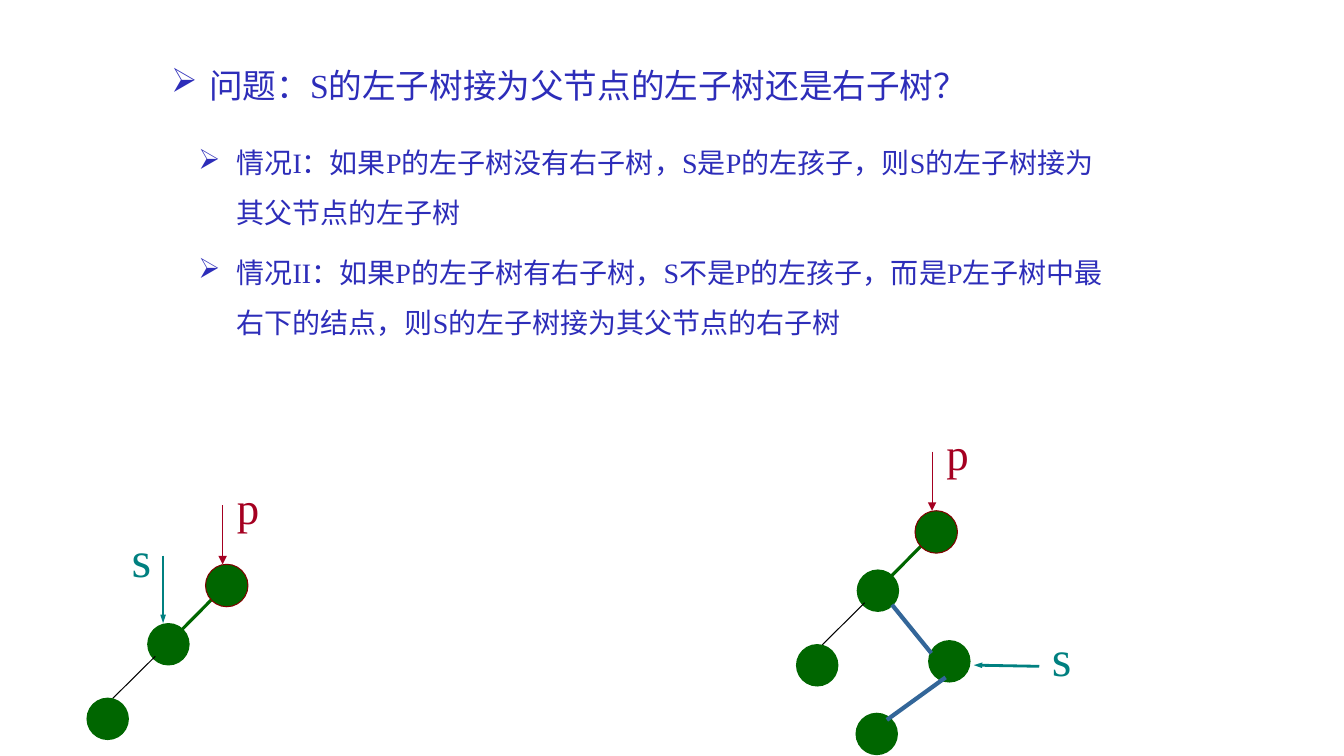
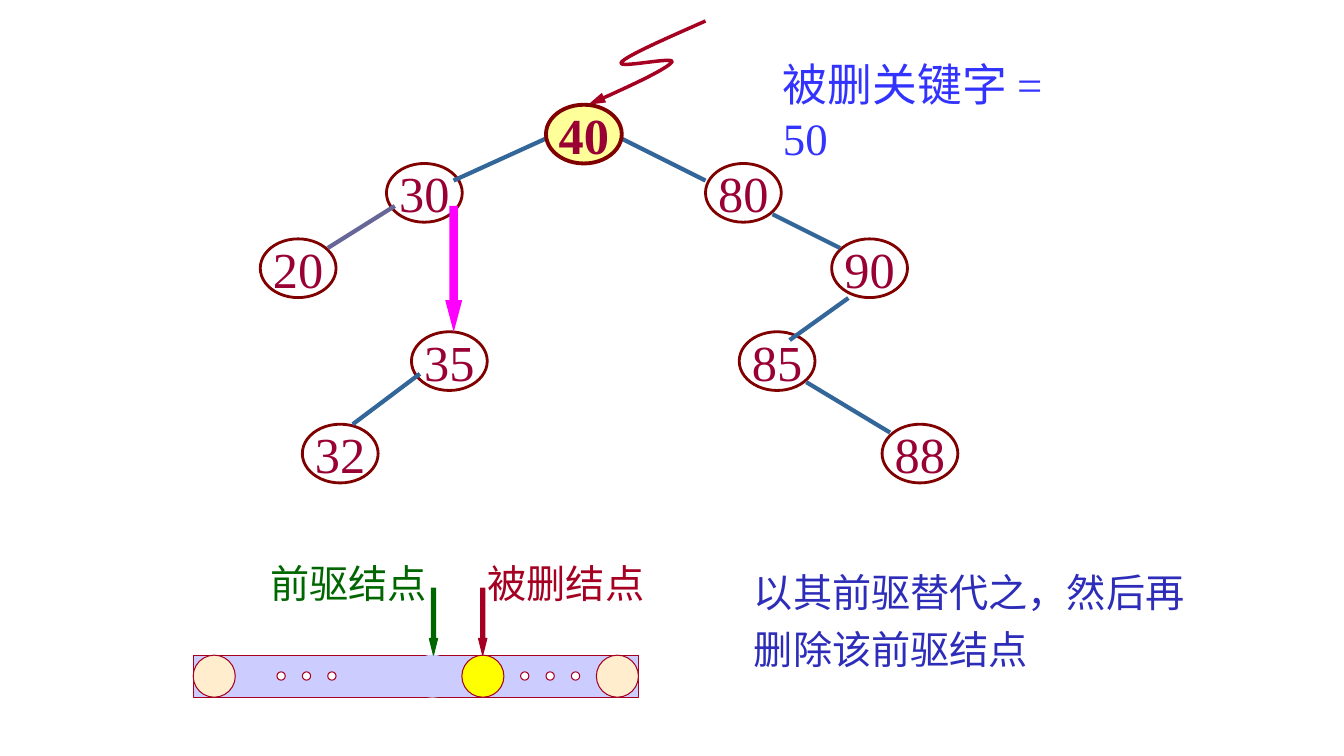
from dataclasses import dataclass
from typing import Optional

from lxml import etree
from pptx import Presentation
from pptx.dml.color import RGBColor
from pptx.enum.shapes import MSO_CONNECTOR, MSO_SHAPE
from pptx.enum.text import MSO_ANCHOR, MSO_AUTO_SIZE, PP_ALIGN
from pptx.oxml.ns import qn
from pptx.util import Cm, Pt

OVAL, RECT, DOWN_ARROW = MSO_SHAPE.OVAL, MSO_SHAPE.RECTANGLE, MSO_SHAPE.DOWN_ARROW
STRAIGHT = MSO_CONNECTOR.STRAIGHT
TOP, MIDDLE = MSO_ANCHOR.TOP, MSO_ANCHOR.MIDDLE
LEFT, CENTER = PP_ALIGN.LEFT, PP_ALIGN.CENTER
FIXED, GROW = MSO_AUTO_SIZE.NONE, MSO_AUTO_SIZE.SHAPE_TO_FIT_TEXT
TITLE_ONLY, BLANK = 5, 6

FONT = "Times New Roman"
COLORS = {
    "text": "2D2DB9", "key": "3333FF", "red": "A50021", "maroon": "800000",
    "number": "990033", "green": "006600", "teal": "008080", "edge": "336699",
    "violet": "666699", "black": "000000", "white": "FFFFFF", "root": "FFFF99",
    "band": "CCCCFF", "cream": "FFEDCD", "yellow": "FFFF00", "magenta": "FF00FF",
}
Point = tuple[float, float]


@dataclass(frozen=True)
class Box:
    left: float
    top: float
    width: float
    height: float


@dataclass(frozen=True)
class Edge:
    start: Point
    end: Point
    color: str = "edge"
    weight: float = 3
    head: Optional[tuple[str, str]] = None


@dataclass(frozen=True)
class Label:
    text: str
    box: Box
    size: float
    color: str
    wrap: bool = False
    spacing: float = 1.0


@dataclass(frozen=True)
class Key:
    text: str
    left: float
    top: float


NODE = 1.07
LEFT_TREE, RIGHT_TREE = (2.18, 11.96), (20.06, 10.61)
RIGHT_CHILDREN = [(23.39, 16.13), (21.56, 17.96)]
RIGHT_EDGES = [
    Edge((22.48, 15.24), (23.47, 16.46)),
    Edge((23.83, 17.07), (22.35, 18.14)),
]
S_ARROWS = [
    Edge((4.11, 14), (4.11, 15.7), "teal", 2, ("sm", "med")),
    Edge((26.19, 16.79), (24.54, 16.76), "teal", 2, ("sm", "med")),
]
S_LABELS = [
    Label("s", Box(left, top, 1.02, 1.78), 36, "teal")
    for left, top in ((3.07, 13.16), (26.26, 15.65))
]
QUESTION = Label("问题：S的左子树接为父节点的左子树还是右子树？",
                 Box(4.06, 0.99, 23.5, 1.63), 24, "text", True, 1.5)
CASES = [
    Label("情况I：如果P的左子树没有右子树，S是P的左孩子，则S的左子树接为其父节点的左子树",
          Box(4.75, 3.12, 23.5, 2.67), 20, "text", True, 1.5),
    Label("情况II：如果P的左子树有右子树，S不是P的左孩子，而是P左子树中最右下的结点，"
          "则S的左子树接为其父节点的右子树",
          Box(4.75, 5.89, 23.5, 2.67), 20, "text", True, 1.5),
]

KEY_WIDTH, KEY_HEIGHT = 1.91, 1.48
ROOT = Key("40", 13.76, 2.64)
KEYS = [
    Key("30", 9.74, 4.12), Key("80", 17.78, 4.12),
    Key("20", 6.56, 6.02), Key("90", 20.96, 6.02),
    Key("85", 18.63, 8.36), Key("35", 10.37, 8.36),
    Key("88", 22.23, 10.69), Key("32", 7.62, 10.69),
]
KEY_EDGES = [
    Edge((13.76, 3.49), (11.43, 4.55)),
    Edge((9.95, 5.19), (8.26, 6.25), "violet"),
    Edge((15.66, 3.49), (17.78, 4.55)),
    Edge((19.47, 5.4), (21.17, 6.25)),
    Edge((21.38, 7.51), (19.9, 8.57)),
    Edge((20.32, 9.63), (22.43, 10.9)),
    Edge((10.58, 9.42), (8.89, 10.69)),
]
CURVES = [
    [(17.78, 0.53), (16.79, 0.97), (15.8, 1.4), (15.66, 1.57)],
    [(15.66, 1.57), (15.52, 1.75), (17.07, 1.4), (16.93, 1.57)],
    [(16.93, 1.57), (16.79, 1.75), (15.8, 2.21), (14.82, 2.64)],
]
BAND = Box(4.87, 16.51, 11.22, 1.06)
BAND_CIRCLES = [
    (4.87, "cream", "red"), (15.03, "cream", "red"),
    (11.64, "yellow", "red"), (10.37, "band", "band"),
]
DOT, DOT_STEP, DOT_TOP = 0.21, 0.64, 16.93
BAND_ARROWS = [(12.06, "red"), (10.82, "green")]
NOTES = [
    Label("以其前驱替代之，然后再删除该前驱结点",
          Box(18.75, 13.97, 12.12, 3), 28, "text", True, 1.2),
    Label("被删结点", Box(12.04, 13.97, 4.47, 1.45), 28, "red"),
    Label("前驱结点", Box(6.56, 13.97, 4.47, 1.45), 28, "green"),
    Label("被删关键字 = 50", Box(19.48, 1.3, 7.9, 3), 32, "key", True),
]


def rgb(name: str) -> RGBColor:
    return RGBColor.from_string(COLORS[name])


def place(box: Box) -> tuple:
    return Cm(box.left), Cm(box.top), Cm(box.width), Cm(box.height)


def apply(target, values: dict) -> None:
    """Set each attribute of target from the given values."""
    for name, value in values.items():
        setattr(target, name, value)


def write(frame, text: str, size: float, color: str, bold: bool = False):
    para = frame.paragraphs[0]
    span = para.add_run()
    span.text = text
    apply(span.font, {"name": FONT, "size": Pt(size), "bold": bold})
    span.font.color.rgb = rgb(color)
    return para


def fill_label(shape, label: Label, bullet: bool = False) -> None:
    frame = shape.text_frame
    apply(frame, {"word_wrap": label.wrap, "vertical_anchor": TOP,
                  "auto_size": FIXED if label.wrap else GROW})
    para = write(frame, label.text, label.size, label.color)
    apply(para, {"alignment": LEFT, "line_spacing": label.spacing})
    if bullet:
        para.space_before = Pt(12)
        props = para._p.get_or_add_pPr()
        props.set("marL", str(Cm(0.96)))
        props.set("indent", str(Cm(-0.96)))
        etree.SubElement(props, qn("a:buChar")).set("char", "➢")


def add_label(page, label: Label, bullet: bool = False) -> None:
    fill_label(page.shapes.add_textbox(*place(label.box)), label, bullet)


def style_line(shape, color: str, weight: float) -> None:
    shape.line.color.rgb = rgb(color)
    shape.line.width = Pt(weight)


def add_head(shape, width: str, length: str) -> None:
    """Put a triangle at the end of a line."""
    tail = etree.SubElement(shape.line._get_or_add_ln(), qn("a:tailEnd"))
    for name, value in {"type": "triangle", "w": width, "len": length}.items():
        tail.set(name, value)


def add_edge(page, edge: Edge) -> None:
    ends = [Cm(value) for value in edge.start + edge.end]
    line = page.shapes.add_connector(STRAIGHT, *ends)
    style_line(line, edge.color, edge.weight)
    if edge.head:
        add_head(line, *edge.head)
    etree.SubElement(line._element.spPr, qn("a:effectLst"))


def add_figure(page, kind, box: Box, fill: Optional[str] = None,
               line: Optional[str] = None, weight: float = 0.75):
    shape = page.shapes.add_shape(kind, *place(box))
    shape.shadow.inherit = False
    if fill:
        shape.fill.solid()
        shape.fill.fore_color.rgb = rgb(fill)
    else:
        shape.fill.background()
    if line:
        style_line(shape, line, weight)
    else:
        shape.line.fill.background()
    return shape


def add_arrow(page, box: Box, head: float, color: str,
              line: Optional[str] = None) -> None:
    arrow = add_figure(page, DOWN_ARROW, box, color, line)
    arrow.adjustments[0] = 0.5
    arrow.adjustments[1] = head


def add_key(page, key: Key, fill: Optional[str] = None,
            weight: float = 2, bold: bool = False) -> None:
    box = Box(key.left, key.top, KEY_WIDTH, KEY_HEIGHT)
    frame = add_figure(page, OVAL, box, fill, "maroon", weight).text_frame
    apply(frame, {"word_wrap": False, "vertical_anchor": MIDDLE})
    write(frame, key.text, 36, "number", bold).alignment = CENTER


def add_small_tree(page, origin: Point) -> None:
    """Draw the p node with its chain of two left descendants."""
    left, top = origin

    def at(across: float, down: float) -> Point:
        return left + across, top + down

    add_edge(page, Edge(at(3.43, 0.77), at(3.43, 2.26), "red", 0.75, ("med", "med")))
    add_label(page, Label("p", Box(*at(3.54, 0), 1.07, 1.6), 32, "red"))
    add_edge(page, Edge(at(3.2, 3.1), at(2.37, 3.94), "green", 2.25))
    add_figure(page, OVAL, Box(*at(1.53, 3.74), NODE, NODE), "green")
    add_edge(page, Edge(at(1.73, 4.58), at(0.66, 5.64), "black", 0.75))
    add_figure(page, OVAL, Box(*at(3, 2.26), NODE, NODE), "green", "maroon")
    add_figure(page, OVAL, Box(*at(0, 5.62), NODE, NODE), "green")


def bezier(points: list[Point], share: float) -> Point:
    """Find the point of a cubic curve at a share of its run."""
    rest = 1 - share
    weights = (rest ** 3, 3 * rest ** 2 * share, 3 * rest * share ** 2, share ** 3)
    across, down = (sum(w * value for w, value in zip(weights, axis))
                    for axis in zip(*points))
    return across, down


def add_squiggle(page, steps: int = 16) -> None:
    vertices = [tuple(Cm(value) for value in bezier(curve, step / steps))
                for curve in CURVES for step in range(1, steps + 1)]
    start = [Cm(value) for value in CURVES[0][0]]
    builder = page.shapes.build_freeform(*start)
    builder.add_line_segments(vertices, close=False)
    squiggle = builder.convert_to_shape()
    squiggle.shadow.inherit = False
    squiggle.fill.background()
    style_line(squiggle, "red", 2.5)
    add_head(squiggle, "med", "lg")


def add_band(page) -> None:
    add_figure(page, RECT, BAND, "band", "red")
    for left, fill, line in BAND_CIRCLES:
        circle = Box(left, BAND.top, BAND.height, BAND.height)
        add_figure(page, OVAL, circle, fill, line)
    for first in (6.98, 13.12):
        for index in range(3):
            dot = Box(first + index * DOT_STEP, DOT_TOP, DOT, DOT)
            add_figure(page, OVAL, dot, "white", "red")
    for left, color in BAND_ARROWS:
        add_arrow(page, Box(left, 14.82, 0.21, 1.69), 2, color, color)


def build_cases(deck) -> None:
    page = deck.slides.add_slide(deck.slide_layouts[TITLE_ONLY])
    title = page.shapes.title
    names = ("left", "top", "width", "height")
    apply(title, dict(zip(names, place(QUESTION.box))))
    fill_label(title, QUESTION, bullet=True)
    for case in CASES:
        add_label(page, case, bullet=True)
    for origin in (LEFT_TREE, RIGHT_TREE):
        add_small_tree(page, origin)
    for left, top in RIGHT_CHILDREN:
        add_figure(page, OVAL, Box(left, top, NODE, NODE), "green")
    for edge in RIGHT_EDGES + S_ARROWS:
        add_edge(page, edge)
    for label in S_LABELS:
        add_label(page, label)


def build_deletion(deck) -> None:
    page = deck.slides.add_slide(deck.slide_layouts[BLANK])
    for key in KEYS:
        add_key(page, key)
    for edge in KEY_EDGES:
        add_edge(page, edge)
    add_squiggle(page)
    add_key(page, ROOT, "root", 2.75, True)
    add_arrow(page, Box(11.22, 5.19, 0.43, 3.18), 1.88, "magenta")
    add_band(page)
    for note in NOTES:
        add_label(page, note)


def main() -> None:
    deck = Presentation()
    apply(deck, {"slide_width": Cm(33.87), "slide_height": Cm(19.05)})
    build_cases(deck)
    build_deletion(deck)
    deck.save("out.pptx")


if __name__ == "__main__":
    main()
